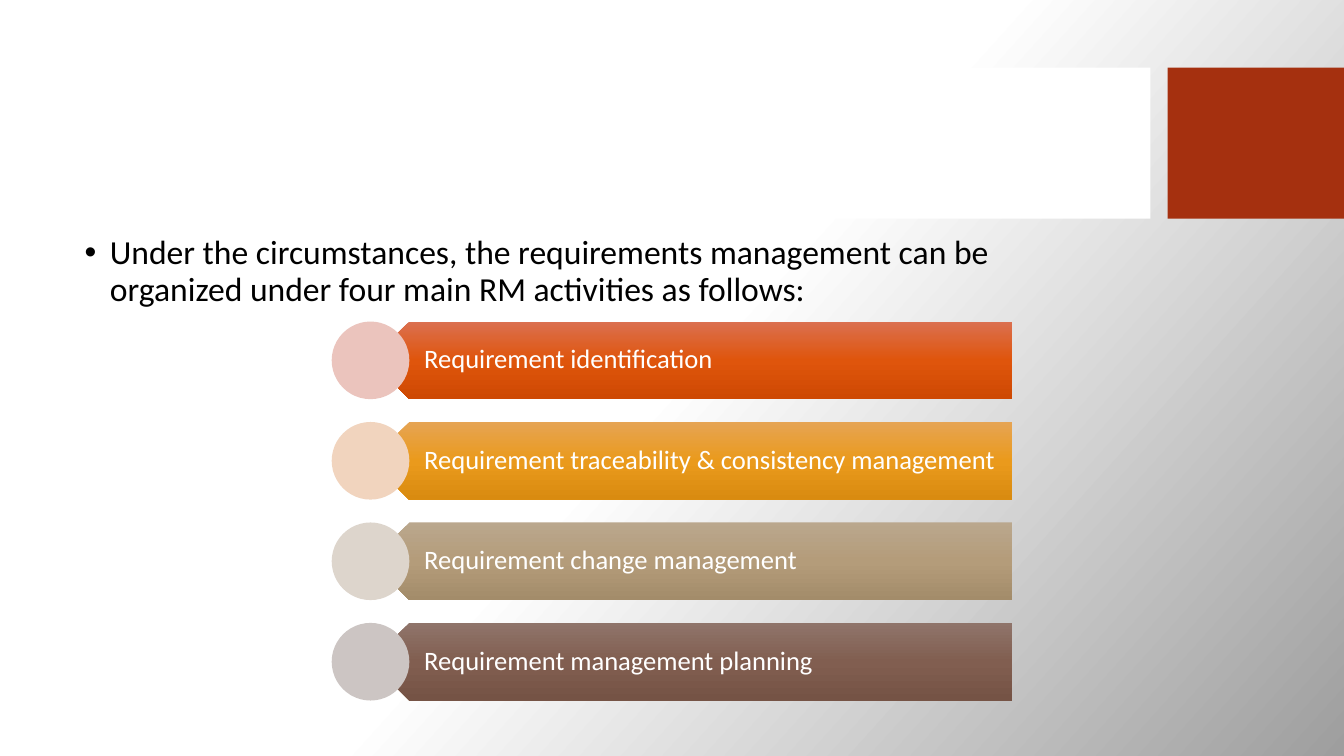
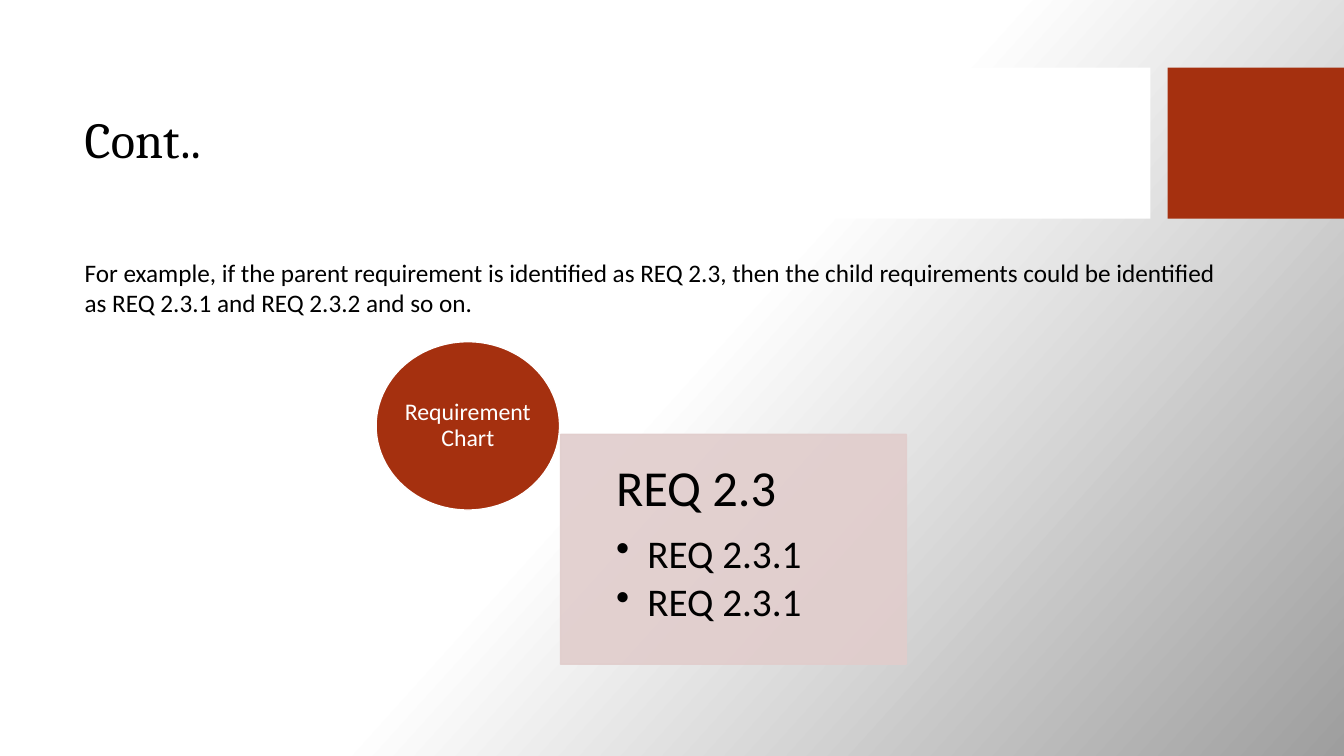
from copy import deepcopy

from lxml.etree import SubElement
from pptx import Presentation
from pptx.dml.color import RGBColor as Rgb
from pptx.enum.shapes import MSO_SHAPE as Kind
from pptx.enum.text import MSO_ANCHOR as Anchor, MSO_AUTO_SIZE as Auto, PP_ALIGN as Align
from pptx.oxml.ns import qn
from pptx.util import Inches, Pt

BLACK = Rgb(0x00, 0x00, 0x00)
WHITE = Rgb(0xFF, 0xFF, 0xFF)
GREY = Rgb(0x9E, 0x9E, 0x9E)
RUST = Rgb(0xA5, 0x30, 0x0F)
ROSE = Rgb(0xE1, 0xCD, 0xCC)
ROWS = [
    ("Requirement identification", Rgb(0xEB, 0xC4, 0xBD),
     (Rgb(0xDB, 0x70, 0x50), Rgb(0xDF, 0x55, 0x0C), Rgb(0xCE, 0x49, 0x03))),
    ("Requirement traceability & consistency management", Rgb(0xF1, 0xD4, 0xBE),
     (Rgb(0xE6, 0xA4, 0x54), Rgb(0xEA, 0x9A, 0x1C), Rgb(0xD9, 0x8B, 0x10))),
    ("Requirement change management", Rgb(0xDD, 0xD5, 0xCC),
     (Rgb(0xBA, 0xA7, 0x8D), Rgb(0xB4, 0x9C, 0x7A), Rgb(0xA3, 0x8C, 0x6A))),
    ("Requirement management planning", Rgb(0xCC, 0xC5, 0xC3),
     (Rgb(0x8F, 0x74, 0x6A), Rgb(0x81, 0x5E, 0x50), Rgb(0x75, 0x53, 0x45))),
]
HEAD, TEXT = "Cambria", "Calibri"


def inches(box):
    return [Inches(n) for n in box]


def blend(fill, colors, angle):
    fill.gradient()
    fill.gradient_angle = 360 - angle
    first = fill.gradient_stops[0]._gs
    first.addnext(deepcopy(first))
    for stop, place, color in zip(fill.gradient_stops, (0, 0.5, 1), colors):
        stop.position = place
        stop.color.rgb = color


def add_form(slide, kind, box, color=None):
    form = slide.shapes.add_shape(kind, *inches(box))
    form.shadow.inherit = False
    form.line.fill.background()
    if color is not None:
        form.fill.solid()
        form.fill.fore_color.rgb = color
    return form


def style(para, size, color=BLACK, font=TEXT, align=Align.LEFT, space=0.9, after=0):
    para.alignment = align
    para.line_spacing = space
    para.space_after = Pt(after)
    for run in para.runs:
        run.font.size = Pt(size)
        run.font.name = font
        run.font.color.rgb = color


def bullet(para, indent):
    props = para._p.get_or_add_pPr()
    props.set("marL", str(Inches(indent)))
    props.set("indent", str(-Inches(indent)))
    SubElement(props, qn("a:buChar")).set("char", "•")


def set_frame(frame, edges=(0.1, 0.05, 0.1, 0.05), anchor=Anchor.TOP):
    frame.word_wrap = True
    frame.auto_size = Auto.NONE
    frame.vertical_anchor = anchor
    (frame.margin_left, frame.margin_top,
     frame.margin_right, frame.margin_bottom) = inches(edges)


def add_text(slide, box, text, edges=(0.1, 0.05, 0.1, 0.05), anchor=Anchor.TOP):
    frame = slide.shapes.add_textbox(*inches(box)).text_frame
    set_frame(frame, edges, anchor)
    frame.text = text
    return frame.paragraphs


def fill_holder(holder, box, text, anchor=Anchor.TOP):
    holder.left, holder.top, holder.width, holder.height = inches(box)
    set_frame(holder.text_frame, anchor=anchor)
    holder.text_frame.text = text
    return holder.text_frame.paragraphs[0]


def add_bands(deck, slide):
    master = deck.slide_master
    blend(master.background.fill, (WHITE, WHITE, GREY), 42)
    bands = [((0, 0.67, 11.41, 1.5), WHITE), ((11.58, 0.67, 1.75, 1.5), RUST)]
    for spot, (box, color) in enumerate(bands):
        band = add_form(slide, Kind.RECTANGLE, box, color)._element
        band.nvSpPr.cNvPr.set("id", str(101 + spot))
        master.shapes._spTree.insert(2 + spot, band)


def add_row(slide, left, top, width, side, row):
    text, pale, colors = row
    half = side / 2
    bar = add_form(slide, Kind.PENTAGON, (left + half, top, width - half, side))
    bar._element.spPr.xfrm.set("flipH", "1")
    blend(bar.fill, colors, 90)
    box = (left + 1.5 * half, top, width - 1.5 * half, side)
    para, = add_text(slide, box, text, (0.34, 0.08, 0.15, 0.08), Anchor.MIDDLE)
    style(para, 19, WHITE)
    add_form(slide, Kind.OVAL, (left, top, side, side), pale)


def add_rows(slide, left, top, width, height):
    side = 0.77
    pitch = (height - side) / (len(ROWS) - 1)
    for spot, row in enumerate(ROWS):
        add_row(slide, left, top + spot * pitch, width, side, row)


def add_chart(slide, left, top):
    card = add_form(slide, Kind.RECTANGLE, (left + 1.83, top + 0.92, 3.43, 2.28), ROSE)
    card.line.color.rgb = ROSE
    card.line.width = Pt(1)
    for color in card._element.spPr.iter(qn("a:srgbClr")):
        SubElement(color, qn("a:alpha")).set("val", "90000")
    first, *rest = add_text(slide, (left + 2.38, top + 0.92, 2.88, 2.28),
                            "REQ 2.3\nREQ 2.3.1\nREQ 2.3.1", (0, 0.28, 0.28, 0.28))
    style(first, 36, after=12.6)
    for para in rest:
        para.level = 1
        style(para, 28, after=4.2)
        bullet(para, 0.31)
    disc = add_form(slide, Kind.OVAL, (left, top, 1.82, 1.67), RUST)
    disc.line.color.rgb = WHITE
    disc.line.width = Pt(1)
    set_frame(disc.text_frame, (0, 0, 0, 0), Anchor.MIDDLE)
    disc.text_frame.text = "Requirement Chart"
    style(disc.text_frame.paragraphs[0], 17, WHITE, align=Align.CENTER)


def list_slide(slide):
    title = slide.shapes.title._element
    title.getparent().remove(title)
    para = fill_holder(
        slide.placeholders[1], (0.74, 2.29, 10.51, 3.94),
        "Under the circumstances, the requirements management can be "
        "organized under four main RM activities as follows:")
    para.space_before = Pt(10)
    style(para, 24)
    bullet(para, 0.25)
    add_rows(slide, 3.29, 3.19, 6.75, 3.76)


def chart_slide(slide):
    title = fill_holder(slide.shapes.title, (0.74, 0.82, 10.51, 1.18), "Cont..", Anchor.MIDDLE)
    style(title, 36, font=HEAD)
    add_chart(slide, 3.73, 3.39)
    para, = add_text(
        slide, (0.74, 2.5, 11.55, 0.71),
        "For example, if the parent requirement is identified as REQ 2.3, then the child "
        "requirements could be identified as REQ 2.3.1 and REQ 2.3.2 and so on.")
    style(para, 18, space=1.0)


def main():
    deck = Presentation()
    deck.slide_width, deck.slide_height = Inches(13.33), Inches(7.5)
    first = deck.slides.add_slide(deck.slide_layouts[1])
    add_bands(deck, first)
    list_slide(first)
    chart_slide(deck.slides.add_slide(deck.slide_layouts[5]))
    deck.save("out.pptx")


if __name__ == "__main__":
    main()
